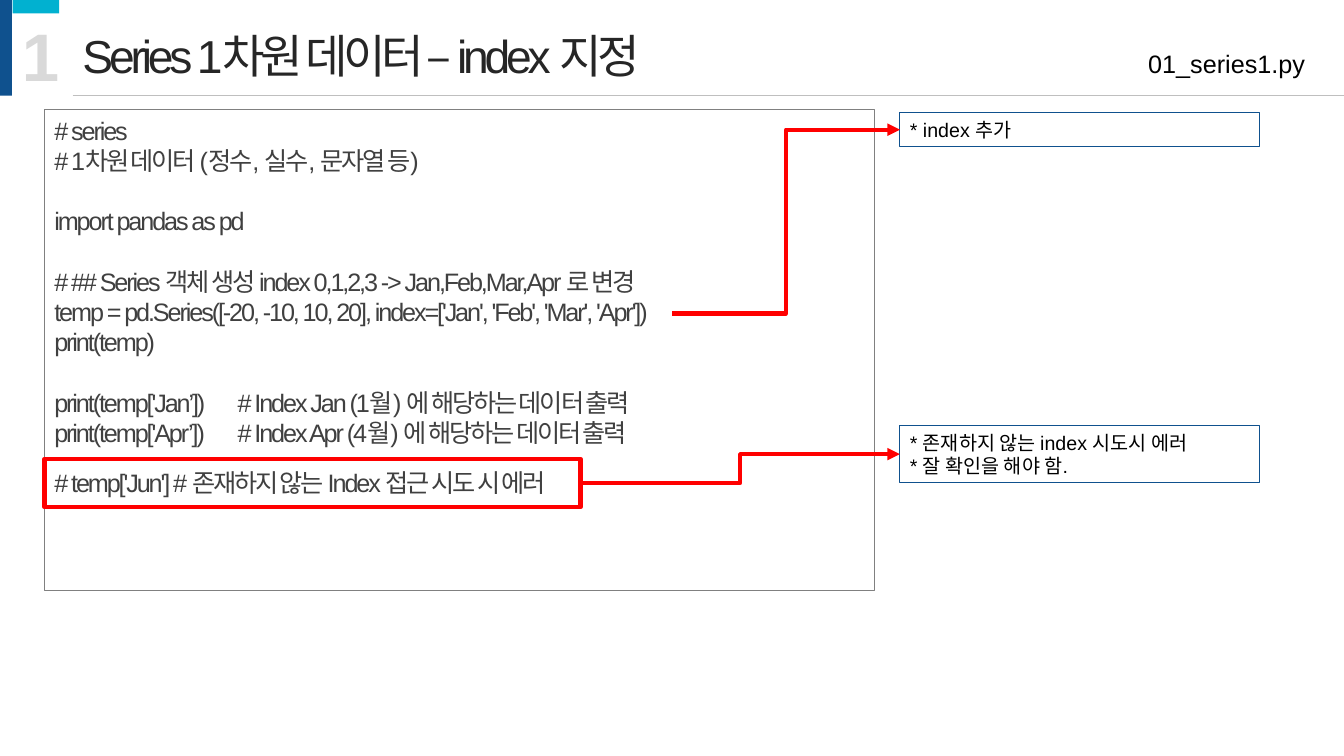
import pptx
import pptx.dml.color
import pptx.enum.shapes
import pptx.enum.text
import pptx.oxml.ns
import pptx.util
from lxml import etree

Cm = pptx.util.Cm
Pt = pptx.util.Pt
RGBColor = pptx.dml.color.RGBColor
ANCHOR = pptx.enum.text.MSO_ANCHOR
ALIGN = pptx.enum.text.PP_ALIGN
CONNECTOR = pptx.enum.shapes.MSO_CONNECTOR
RECTANGLE = pptx.enum.shapes.MSO_SHAPE.RECTANGLE

NAVY = RGBColor(0x0F, 0x51, 0x8E)
CYAN = RGBColor(0x01, 0xB1, 0xD0)
RED = RGBColor(0xFF, 0x00, 0x00)
BLACK = RGBColor(0x00, 0x00, 0x00)
TITLE_GRAY = RGBColor(0x26, 0x26, 0x26)
CODE_GRAY = RGBColor(0x40, 0x40, 0x40)
BORDER_GRAY = RGBColor(0x80, 0x80, 0x80)
RULE_GRAY = RGBColor(0xBF, 0xBF, 0xBF)
NUMBER_GRAY = RGBColor(0xD9, 0xD9, 0xD9)

BLANK_LINE = 21.6
HALF_LINE = 14.4

# Each code line with the space before it, in points
CODE = [
    ("# series", 0),
    ("# 1차원 데이터 (정수, 실수, 문자열 등)", 0),
    ("import pandas as pd", BLANK_LINE),
    ("# ## Series 객체 생성 index 0,1,2,3 -> Jan,Feb,Mar,Apr 로 변경", BLANK_LINE),
    ("temp = pd.Series([-20, -10, 10, 20], index=['Jan', 'Feb', 'Mar', 'Apr'])", 0),
    ("print(temp)", 0),
    ("print(temp['Jan’])\t# Index Jan (1월) 에 해당하는 데이터 출력", BLANK_LINE),
    ("print(temp['Apr’])\t# Index Apr (4월) 에 해당하는 데이터 출력", 0),
    ("# temp['Jun'] # 존재하지 않는 Index 접근 시도 시 에러", HALF_LINE),
]


def add_child(parent, tag, **attributes):
    return etree.SubElement(parent, pptx.oxml.ns.qn(tag), **attributes)


def write_text(paragraph, text, size=18, color=BLACK, bold=False, spacing=0,
               align=ALIGN.LEFT, before=0, font="Arial", tab=None):
    """Fill a paragraph; a newline in the text becomes a line break."""
    paragraph.text = text
    paragraph.alignment = align
    paragraph.space_before = Pt(before)
    if tab is not None:
        tabs = add_child(paragraph._p.get_or_add_pPr(), "a:tabLst")
        add_child(tabs, "a:tab", pos=str(int(tab)), algn="l")
    for run in paragraph.runs:
        run.font.name = font
        run.font.size = Pt(size)
        run.font.bold = bold
        run.font.color.rgb = color
        if spacing:
            run._r.get_or_add_rPr().set("spc", str(int(spacing * 100)))


class SlideBuilder:
    def __init__(self, slide):
        self.slide = slide
        self.arrow_width = 3

    def rectangle(self, left, top, width, height, fill=None, line=None, line_width=0.75):
        shape = self.slide.shapes.add_shape(
            RECTANGLE, Cm(left), Cm(top), Cm(width), Cm(height))
        shape.shadow.inherit = False
        if fill is None:
            shape.fill.background()
        else:
            shape.fill.solid()
            shape.fill.fore_color.rgb = fill
        if line is None:
            shape.line.fill.background()
        else:
            shape.line.color.rgb = line
            shape.line.width = Pt(line_width)
        return shape

    def label(self, text, left, top, width, height, wrap=True, **text_format):
        box = self.slide.shapes.add_textbox(Cm(left), Cm(top), Cm(width), Cm(height))
        box.text_frame.word_wrap = wrap
        write_text(box.text_frame.paragraphs[0], text, **text_format)

    def callout(self, text, top, height):
        shape = self.rectangle(22.68, top, 9.07, height, line=NAVY)
        shape.text_frame.word_wrap = True
        shape.text_frame.vertical_anchor = ANCHOR.MIDDLE
        write_text(shape.text_frame.paragraphs[0], text, size=14)
        return shape

    def code_box(self, lines, left, top, width, height):
        frame = self.rectangle(left, top, width, height, line=BORDER_GRAY).text_frame
        frame.word_wrap = True
        frame.vertical_anchor = ANCHOR.TOP
        for index, (text, before) in enumerate(lines):
            paragraph = frame.add_paragraph() if index else frame.paragraphs[0]
            write_text(paragraph, text, color=CODE_GRAY, spacing=-1.5, before=before,
                       tab=Cm(4.62) if "\t" in text else None)

    def connector(self, kind, begin, end, color, width):
        connector = self.slide.shapes.add_connector(
            kind, *(Cm(value) for value in begin + end))
        connector.line.color.rgb = color
        connector.line.width = Pt(width)
        add_child(connector._element.spPr, "a:effectLst")
        return connector

    def arrow_to(self, target, begin, source=None):
        """Draw a red elbow arrow to the left side of the target."""
        arrow = self.connector(CONNECTOR.ELBOW, begin, (22.68, begin[1]),
                               RED, self.arrow_width)
        if source is not None:
            arrow.begin_connect(source, 3)
        arrow.end_connect(target, 1)
        add_child(arrow.line._get_or_add_ln(), "a:tailEnd", type="triangle")


def main():
    presentation = pptx.Presentation()
    presentation.slide_width = Cm(33.87)
    presentation.slide_height = Cm(19.05)
    builder = SlideBuilder(presentation.slides.add_slide(presentation.slide_layouts[6]))

    builder.rectangle(0, 0, 0.3, 2.41, fill=NAVY)
    builder.rectangle(0.32, 0, 1.17, 0.34, fill=CYAN)
    builder.label("Series 1차원 데이터 – index 지정", 1.83, 0.56, 30.91, 1.7,
                  size=33, color=TITLE_GRAY, spacing=-3)
    builder.label("1", 0.3, 0.23, 1.47, 2.31, wrap=False,
                  size=48, color=NUMBER_GRAY, bold=True)
    builder.connector(CONNECTOR.STRAIGHT, (1.83, 2.41), (33.87, 2.41), RULE_GRAY, 0.5)
    builder.label("01_series1.py", 22.68, 1.09, 10.46, 1.02, align=ALIGN.RIGHT)

    builder.code_box(CODE, 1.12, 2.77, 20.93, 12.12)
    index_note = builder.callout("* index 추가", 2.84, 0.86)
    error_note = builder.callout(
        "* 존재하지 않는 index 시도시 에러\n* 잘 확인을 해야 함.", 10.72, 1.45)
    error_frame = builder.rectangle(1.12, 11.56, 13.51, 1.22, line=RED, line_width=3)
    builder.arrow_to(index_note, (16.94, 7.9))
    builder.arrow_to(error_note, (14.63, 12.17), source=error_frame)

    presentation.save("out.pptx")


if __name__ == "__main__":
    main()
